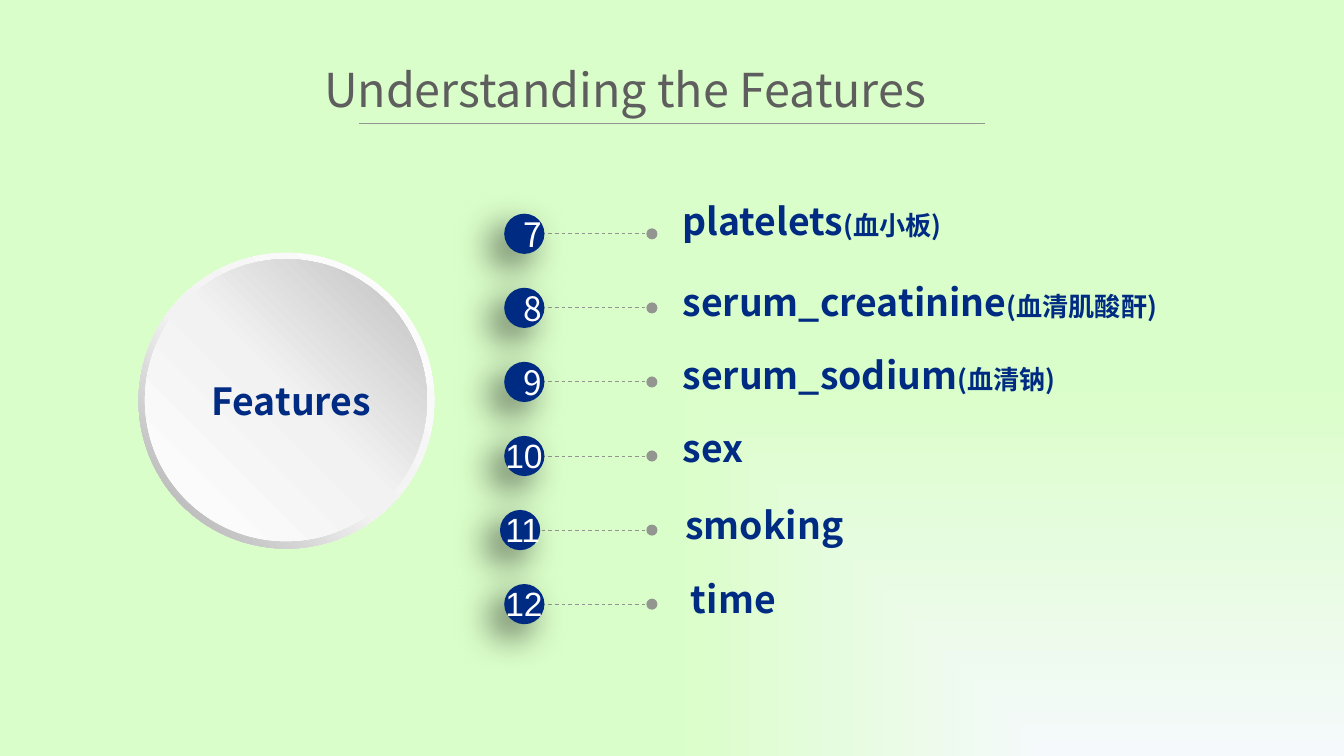
from lxml.etree import SubElement
from pptx import Presentation
from pptx.dml.color import RGBColor
from pptx.enum.dml import MSO_LINE
from pptx.enum.shapes import MSO_CONNECTOR, MSO_SHAPE
from pptx.enum.text import MSO_ANCHOR, MSO_AUTO_SIZE, PP_ALIGN
from pptx.oxml.ns import qn
from pptx.util import Cm, Pt

FONT = "Noto Sans CJK SC"
NAVY, WHITE, GREY = "002B82", "FFFFFF", "939590"

# number, name, translation, label left and top, badge left (cm)
FEATURES = [
    (7, "platelets", "(血小板)", 12.9, 4.14, 9.53),
    (8, "serum_creatinine", "(血清肌酸酐)", 12.9, 5.66, 9.53),
    (9, "serum_sodium", "(血清钠)", 12.9, 7.04, 9.53),
    (10, "sex", "", 12.9, 8.43, 9.53),
    (11, "smoking", "", 12.95, 9.88, 9.45),
    (12, "time", "", 13.06, 11.28, 9.53),
]
BADGE_SIZE, FIRST_CENTER, ROW_STEP = 0.76, 4.42, 1.4


def color(value):
    return RGBColor.from_string(value)


def add_xml(parent, tag, **attributes):
    return SubElement(parent, qn(tag), {k: str(v) for k, v in attributes.items()})


def add_color(parent, value, alpha=None):
    entry = add_xml(parent, "a:srgbClr", val=value)
    if alpha is not None:
        add_xml(entry, "a:alpha", val=alpha * 1000)


def set_gradient(fill, owner, stops, angle=None):
    """Linear at an angle, or spreading from the bottom right corner."""
    fill.gradient()
    gradient = owner.find(".//" + qn("a:gradFill"))
    gradient.clear()
    stop_list = add_xml(gradient, "a:gsLst")
    for position, *stop in stops:
        add_color(add_xml(stop_list, "a:gs", pos=position * 1000), *stop)
    if angle is None:
        spread = add_xml(gradient, "a:path", path="rect")
        add_xml(spread, "a:fillToRect", l=100000, t=100000)
    else:
        add_xml(gradient, "a:lin", ang=angle * 60000, scaled=0)


def style_run(run, size, value, bold=False, font=FONT):
    run.font.size = Pt(size)
    run.font.name = font
    run.font.bold = bold
    run.font.color.rgb = color(value)
    add_xml(run.font._element, "a:ea", typeface=font)


def add_text(slide, box, parts, value, align, bold=False, font=FONT, inset=True):
    """Add one line of text from (text, size) parts."""
    textbox = slide.shapes.add_textbox(*map(Cm, box))
    frame = textbox.text_frame
    frame.word_wrap = True
    frame.auto_size = MSO_AUTO_SIZE.SHAPE_TO_FIT_TEXT
    if not inset:
        frame.margin_left = frame.margin_right = 0
        frame.margin_top = frame.margin_bottom = 0
    paragraph = frame.paragraphs[0]
    paragraph.alignment = align
    for text, size in parts:
        run = paragraph.add_run()
        run.text = text
        style_run(run, size, value, bold, font)
    return paragraph


def add_line(slide, left, right, y, width, dotted_end=False):
    line = slide.shapes.add_connector(
        MSO_CONNECTOR.STRAIGHT, Cm(left), Cm(y), Cm(right), Cm(y))
    line.line.color.rgb = color(GREY)
    line.line.width = Pt(width)
    if dotted_end:
        line.line.dash_style = MSO_LINE.DASH
        add_xml(line.line._get_or_add_ln(), "a:tailEnd", type="oval")
    add_xml(line.element.spPr, "a:effectLst")


def add_round(shapes, preset, left, top, size):
    round_shape = shapes.add_shape(preset, Cm(left), Cm(top), Cm(size), Cm(size))
    round_shape.shadow.inherit = False
    round_shape.line.fill.background()
    return round_shape


def add_hub(slide):
    hub = slide.shapes.add_group_shape().shapes
    rim = add_round(hub, MSO_SHAPE.DONUT, 2.62, 4.78, 5.59)
    rim.adjustments[0] = 0.05
    set_gradient(rim.fill, rim.element,
                 [(0, WHITE), (55, "F2F2F2"), (100, "A6A6A6")], 135)
    disc = add_round(hub, MSO_SHAPE.OVAL, 2.74, 4.9, 5.33)
    set_gradient(disc.fill, disc.element,
                 [(0, WHITE), (51, "F2F2F2"), (100, "BFBFBF")], 315)


def add_badge(slide, left, center):
    badge = add_round(slide.shapes, MSO_SHAPE.OVAL, left,
                      center - BADGE_SIZE / 2, BADGE_SIZE)
    badge.fill.solid()
    badge.fill.fore_color.rgb = color(NAVY)
    shadow = add_xml(badge.element.spPr.find(qn("a:effectLst")), "a:outerShdw",
                     blurRad=Pt(20), dist=Pt(10), dir=135 * 60000,
                     algn="tr", rotWithShape=0)
    add_color(shadow, "000000", 60)
    return badge


def add_number(slide, badge, number, center):
    if number < 10:
        frame = badge.text_frame
        frame.text = str(number)
        frame.vertical_anchor = MSO_ANCHOR.MIDDLE
        frame.paragraphs[0].alignment = PP_ALIGN.CENTER
        style_run(frame.paragraphs[0].runs[0], 18, WHITE)
    else:
        add_text(slide, (9.3, center - 0.53, 1.4, 1.02), [(str(number), 18)],
                 WHITE, PP_ALIGN.LEFT, font="Arial")


def main():
    presentation = Presentation()
    presentation.slide_width, presentation.slide_height = Cm(25.4), Cm(14.29)
    slide = presentation.slides.add_slide(presentation.slide_layouts[6])
    set_gradient(slide.background.fill, slide.element,
                 [(0, "F5F9FB"), (100, "DAFEC9", 40)])

    # Title
    add_text(slide, (5.11, 1.02, 13.41, 1.32),
             [("Understanding the Features", 25)], "5E5E5E", PP_ALIGN.CENTER)
    add_line(slide, 6.78, 18.62, 2.34, 0.75)

    # Hub
    add_hub(slide)
    add_text(slide, (3.56, 7.14, 3.89, 0.86), [("Features", 20)], NAVY,
             PP_ALIGN.CENTER, bold=True, inset=False)

    # Feature rows
    for row, (number, name, translation, left, top, badge_left) in enumerate(FEATURES):
        center = FIRST_CENTER + row * ROW_STEP
        parts = [(name, 20)] + ([(translation, 14)] if translation else [])
        label = add_text(slide, (left, top, 9.6, 0.51), parts, NAVY,
                         PP_ALIGN.JUSTIFY, bold=True, inset=False)
        label.line_spacing = Pt(13)
        add_line(slide, 10.11, 12.32, center, 0.5, dotted_end=True)
        badge = add_badge(slide, badge_left, center)
        add_number(slide, badge, number, center)

    presentation.save("out.pptx")


if __name__ == "__main__":
    main()
